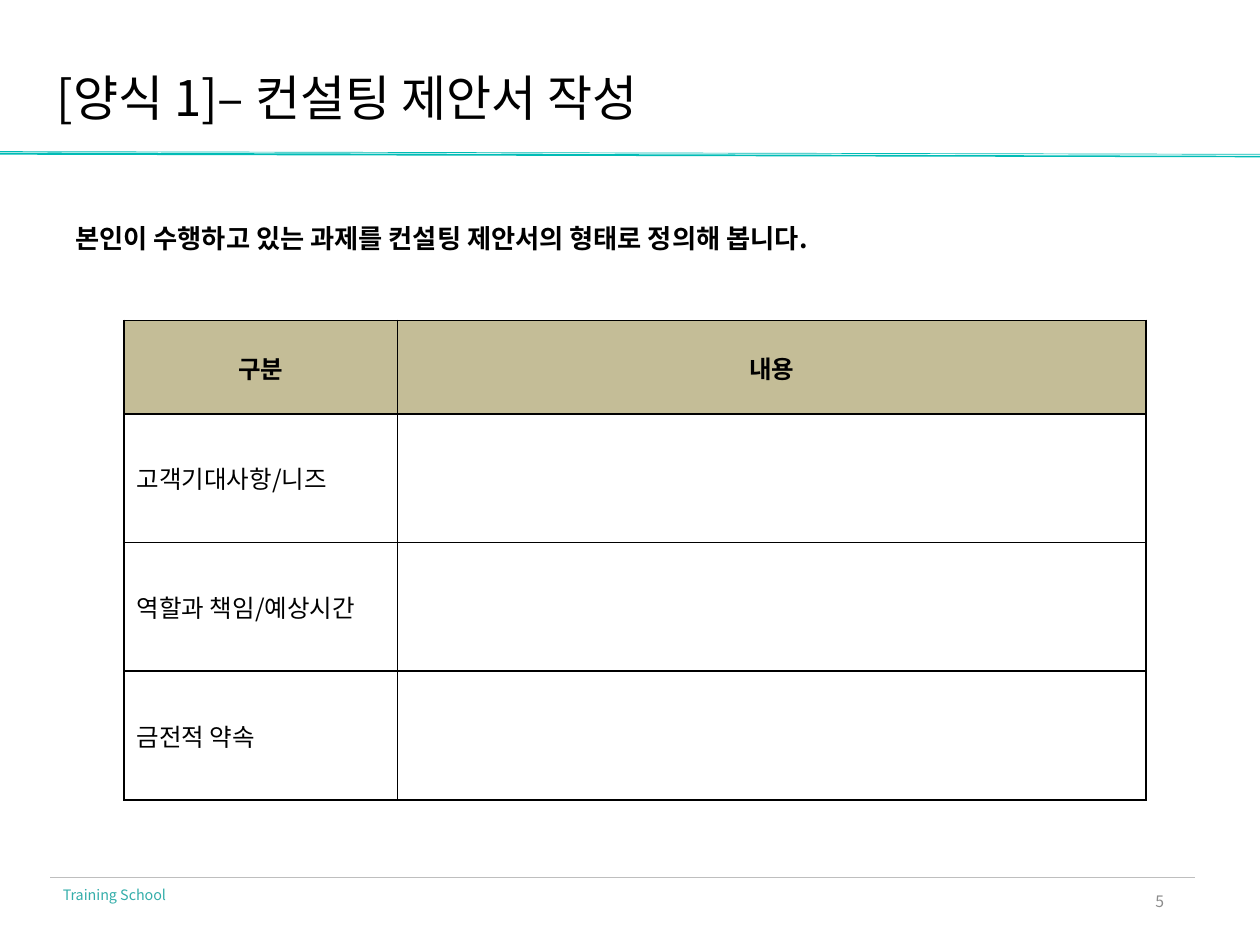
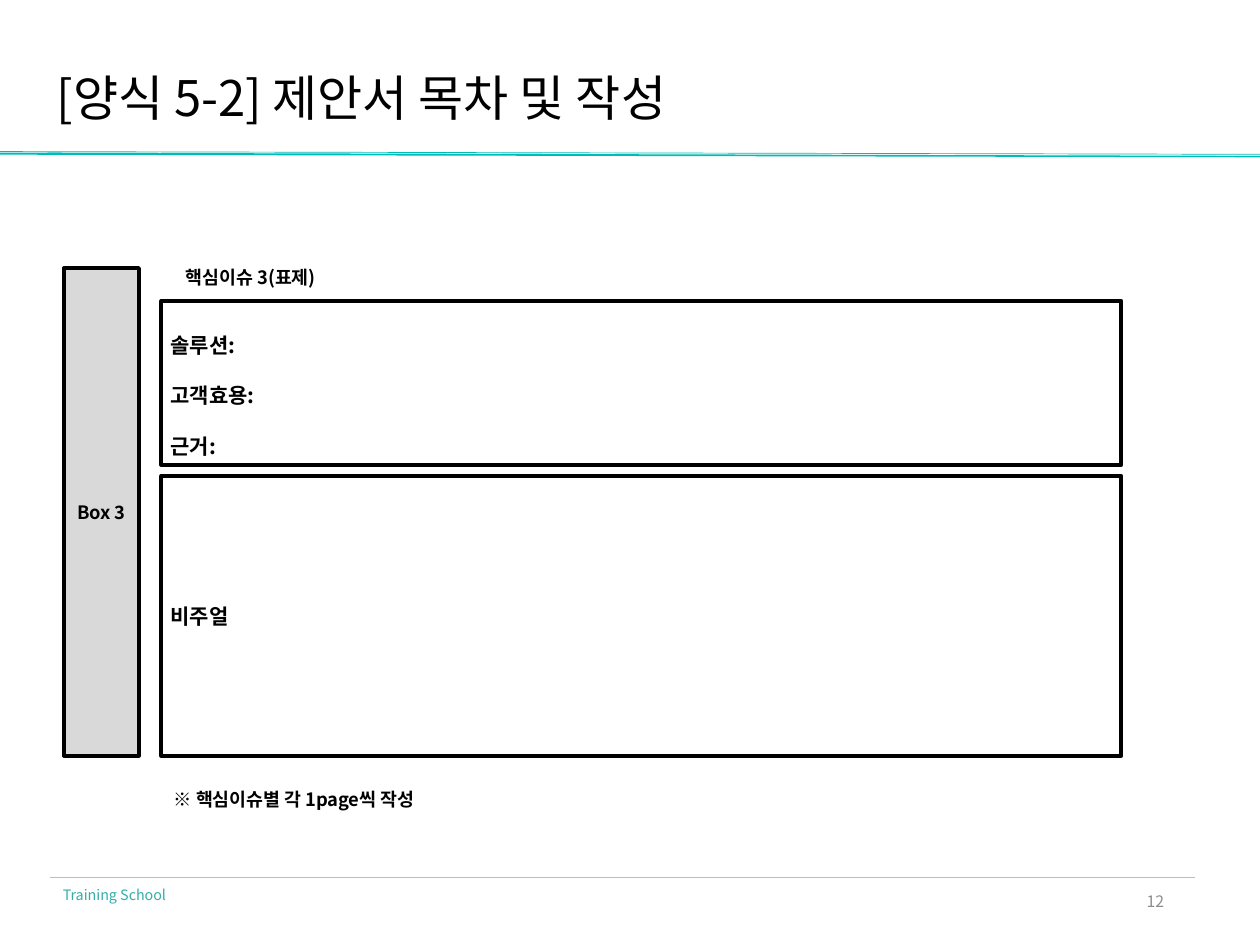
from lxml.etree import SubElement
from pptx import Presentation
from pptx.dml.color import RGBColor
from pptx.enum.shapes import MSO_CONNECTOR, MSO_SHAPE
from pptx.enum.text import MSO_ANCHOR, MSO_AUTO_SIZE, PP_ALIGN
from pptx.oxml import parse_xml
from pptx.oxml.ns import nsdecls, qn
from pptx.util import Pt

# Theme: colours and type styles
THEME = {
    "font": "Noto Sans CJK KR",
    "band": "01BCB6",
    "rule": "BEBEBE",
    "header": "C4BD97",
    "side": "D9D9D9",
    "outline": "000000",
    "title": {"size": 28, "color": "000000", "bold": False},
    "lead": {"size": 15, "color": "000000", "bold": True},
    "table_head": {"size": 14, "color": "000000", "bold": True},
    "table_body": {"size": 14, "color": "000000", "bold": False},
    "box": {"size": 12, "color": "000000", "bold": True},
    "label": {"size": 10.5, "color": "000000", "bold": True},
    "brand": {"size": 8.2, "color": "34AEAA", "bold": False},
    "number": {"size": 9, "color": "8C8C8C", "bold": False},
}
NO_MARGINS = {f"margin_{side}": 0 for side in ("left", "top", "right", "bottom")}
BOX_FRAME = {"word_wrap": True, "vertical_anchor": MSO_ANCHOR.MIDDLE,
             "margin_left": Pt(5.2), "margin_right": Pt(5.2),
             "margin_top": Pt(2.6), "margin_bottom": Pt(2.6)}
GROWING = {"word_wrap": True, "vertical_anchor": MSO_ANCHOR.TOP,
           "auto_size": MSO_AUTO_SIZE.SHAPE_TO_FIT_TEXT}
TITLE_FRAME = {**GROWING, **NO_MARGINS, "vertical_anchor": MSO_ANCHOR.MIDDLE}


def write_text(frame, lines, style, frame_format, alignment=PP_ALIGN.LEFT, spacing=1.0):
    for name, value in frame_format.items():
        setattr(frame, name, value)
    for index, line in enumerate(lines):
        paragraph = frame.paragraphs[0] if index == 0 else frame.add_paragraph()
        paragraph.alignment = alignment
        paragraph.line_spacing = spacing
        run = paragraph.add_run()
        run.text = line
        font_format = {"name": THEME["font"], "size": Pt(THEME[style]["size"]),
                       "bold": THEME[style]["bold"]}
        for name, value in font_format.items():
            setattr(run.font, name, value)
        run.font.color.rgb = RGBColor.from_string(THEME[style]["color"])
        # Korean glyphs take the East Asian typeface
        SubElement(run._r.get_or_add_rPr(), qn("a:ea"), typeface=THEME["font"])


def add_text(slide, place, lines, style, frame_format=GROWING, **options):
    text_box = slide.shapes.add_textbox(*map(Pt, place))
    write_text(text_box.text_frame, lines, style, frame_format, **options)


presentation = Presentation()
presentation.slide_width, presentation.slide_height = Pt(720), Pt(540)

# Shared frame: title, band and footer
slides = []
for title, number in (("[양식 1]– 컨설팅 제안서 작성", "5"),
                      ("[양식 5-2] 제안서 목차 및 작성", "12")):
    slide = presentation.slides.add_slide(presentation.slide_layouts[5])
    slides.append(slide)

    # Two thin slanted strips under the title
    band_builder = slide.shapes.build_freeform(0, Pt(87.2), scale=1.0)
    band_builder.add_line_segments(
        [(Pt(x), Pt(y)) for x, y in ((0, 88.4), (720, 89.9), (720, 89.1))], close=True)
    band_builder.move_to(0, Pt(86.4))
    band_builder.add_line_segments(
        [(Pt(x), Pt(y)) for x, y in ((0, 86.8), (720, 88.4), (720, 88))], close=True)
    band = band_builder.convert_to_shape()
    band.shadow.inherit = False
    band.fill.solid()
    band.fill.fore_color.rgb = RGBColor.from_string(THEME["band"])
    band.line.fill.background()

    # Footer
    rule = slide.shapes.add_connector(
        MSO_CONNECTOR.STRAIGHT, Pt(28.8), Pt(501.5), Pt(682.8), Pt(501.5))
    rule.line.color.rgb = RGBColor.from_string(THEME["rule"])
    rule.line.width = Pt(0.5)
    SubElement(rule._element.spPr, qn("a:effectLst"))
    add_text(slide, (508.3, 500.6, 162, 28.8), [number], "number", BOX_FRAME,
             alignment=PP_ALIGN.RIGHT)
    add_text(slide, (28.8, 502.6, 93, 17.3), ["Training School"], "brand")

    # Title
    title_shape = slide.shapes.title
    title_place = {"left": 32.4, "top": 38.2, "width": 650, "height": 33.8}
    for name, value in title_place.items():
        setattr(title_shape, name, Pt(value))
    write_text(title_shape.text_frame, [title], "title", TITLE_FRAME)

proposal_slide, issue_slide = slides

# Proposal form: lead sentence and table
add_text(proposal_slide, (36, 114.5, 634, 30),
         ["본인이 수행하고 있는 과제를 컨설팅 제안서의 형태로 정의해 봅니다."],
         "lead", spacing=1.5)

rows = [("구분", "내용"), ("고객기대사항/니즈", ""),
        ("역할과 책임/예상시간", ""), ("금전적 약속", "")]
table = proposal_slide.shapes.add_table(
    len(rows), 2, Pt(70.8), Pt(183.1), Pt(584.2), Pt(274)).table
table.first_row = table.horz_banding = False
for column, width in zip(table.columns, (156.2, 428)):
    column.width = Pt(width)
for row, height in zip(table.rows, (53.6, 73.2, 73.6, 73.6)):
    row.height = Pt(height)

for row_index, texts in enumerate(rows):
    is_header = row_index == 0
    for column_index, text in enumerate(texts):
        cell = table.cell(row_index, column_index)
        cell.vertical_anchor = MSO_ANCHOR.MIDDLE
        if text:
            write_text(cell.text_frame, [text], "table_head" if is_header else "table_body",
                       {}, PP_ALIGN.CENTER if is_header else PP_ALIGN.LEFT)
        if is_header:
            cell.fill.solid()
            cell.fill.fore_color.rgb = RGBColor.from_string(THEME["header"])
        else:
            cell.fill.background()
        # Borders come before the fill in the cell properties
        for position, edge in enumerate(("lnL", "lnR", "lnT", "lnB")):
            cell._tc.get_or_add_tcPr().insert(position, parse_xml(
                f'<a:{edge} {nsdecls("a")} w="{Pt(1)}"><a:solidFill>'
                f'<a:srgbClr val="{THEME["outline"]}"/></a:solidFill></a:{edge}>'))

# Key issue form: outlined boxes
boxes = [
    ((36.6, 153.2, 42.8, 278.6), ["Box 3"], "label", THEME["side"], PP_ALIGN.CENTER, 1.0),
    ((92.2, 172, 548.6, 93.6), ["솔루션:", "고객효용:", "근거:"], "box", None,
     PP_ALIGN.LEFT, 2.0),
    ((92.2, 272, 548.6, 159.8), ["비주얼"], "box", None, PP_ALIGN.LEFT, 1.0),
]
for place, lines, style, fill_color, alignment, spacing in boxes:
    box = issue_slide.shapes.add_shape(MSO_SHAPE.RECTANGLE, *map(Pt, place))
    box.shadow.inherit = False
    if fill_color:
        box.fill.solid()
        box.fill.fore_color.rgb = RGBColor.from_string(fill_color)
    else:
        box.fill.background()
    box.line.color.rgb = RGBColor.from_string(THEME["outline"])
    box.line.width = Pt(2.25)
    write_text(box.text_frame, lines, style, BOX_FRAME, alignment, spacing)

# Key issue form: heading and note
add_text(issue_slide, (99.2, 148.8, 183, 20), ["핵심이슈 3(표제)"], "label")
add_text(issue_slide, (92.2, 446.6, 317, 20), ["※ 핵심이슈별 각 1page씩 작성"], "label")

presentation.save("out.pptx")
